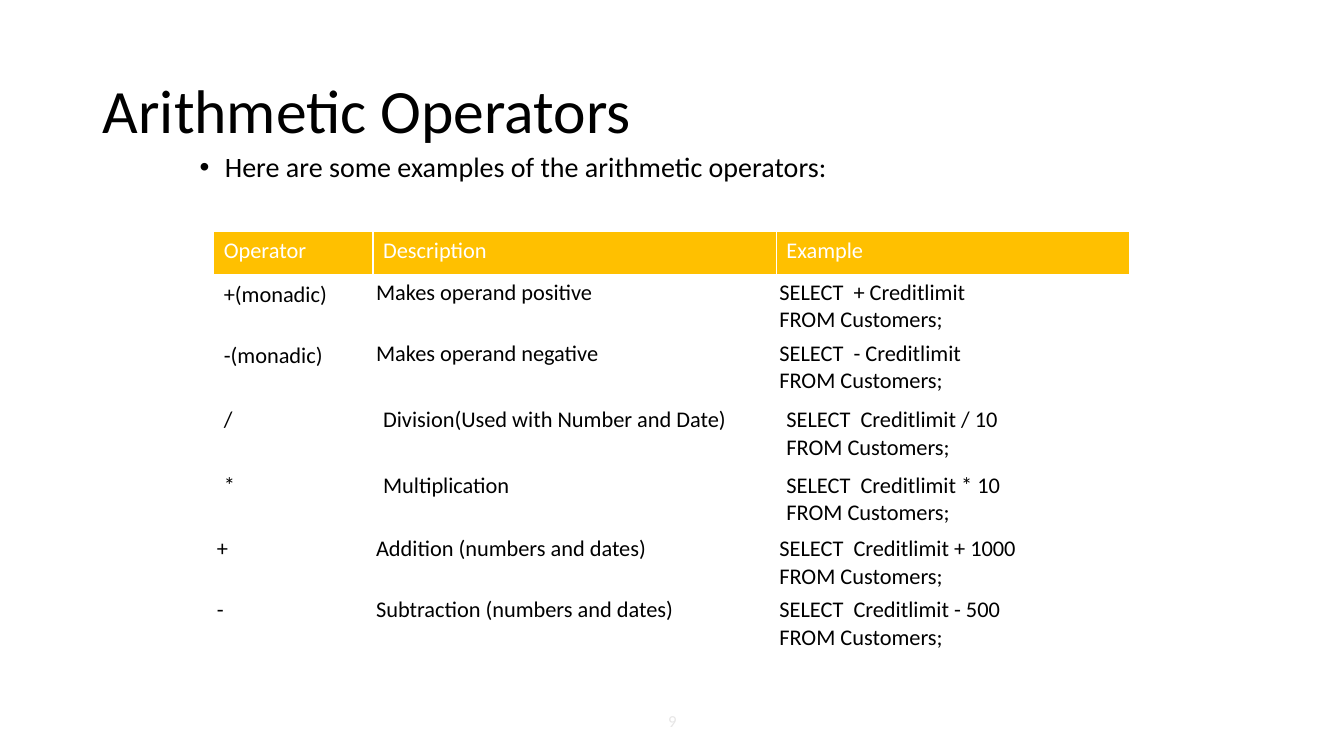
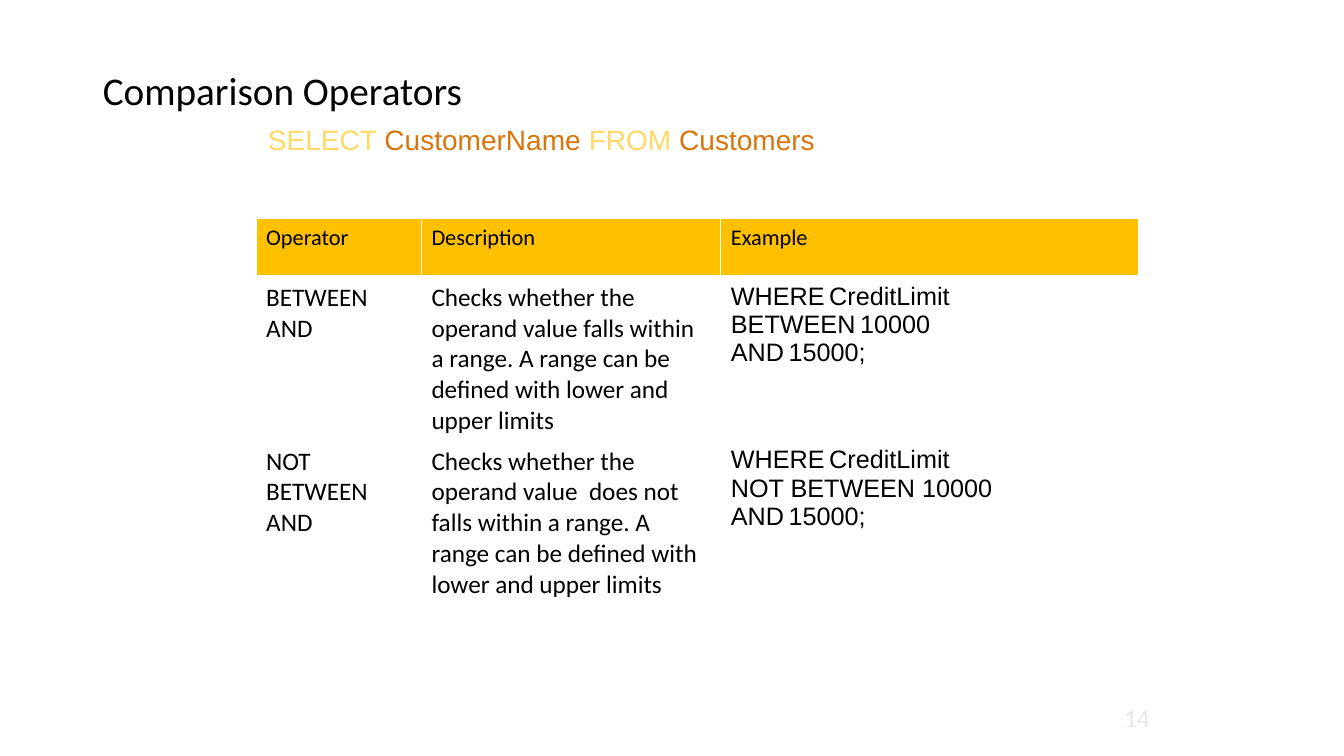
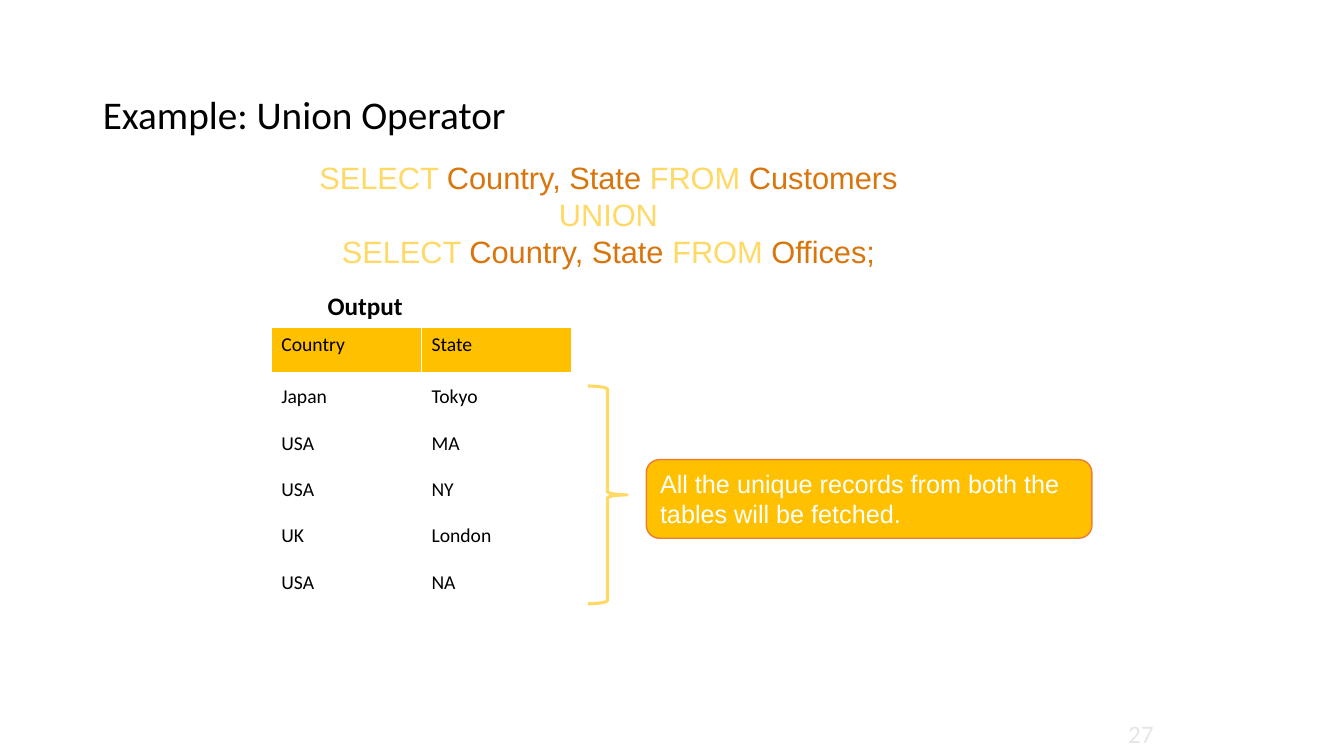
"""Build three slides on SQL operators: arithmetic, comparison and union."""
from dataclasses import dataclass
from itertools import cycle

from lxml.etree import SubElement
from pptx import Presentation
from pptx.dml.color import RGBColor
from pptx.enum.shapes import MSO_SHAPE as Shape
from pptx.enum.text import MSO_ANCHOR as Anchor, MSO_AUTO_SIZE as AutoSize, PP_ALIGN as Align
from pptx.oxml.ns import qn
from pptx.util import Inches, Pt


@dataclass(frozen=True)
class Theme:
    body_font: str = "Calibri"
    code_font: str = "Arial"
    ink: str = "000000"
    paper: str = "FFFFFF"
    gold: str = "FFC000"
    keyword: str = "FFD966"
    name: str = "D8750D"
    outline: str = "ED7D31"
    number: str = "E7E6E6"
    title_large: int = 44
    title_small: int = 28
    query: int = 22
    lead: int = 20
    text: int = 18
    table: int = 16
    small: int = 14
    tiny: int = 12


THEME = Theme()
TITLE_ONLY, TITLE_AND_BODY = 5, 1
TIGHT = 0.03

ARITHMETIC_HEADER = ("Operator", "Description", "Example")
ARITHMETIC_ROWS = [
    ("+(monadic)", "Makes operand positive", "SELECT  + Creditlimit"),
    ("-(monadic)", "Makes operand negative", "SELECT  - Creditlimit"),
    ("/", "Division(Used with Number and Date)", "SELECT  Creditlimit / 10"),
    ("*", "Multiplication", "SELECT  Creditlimit * 10"),
    ("+", "Addition (numbers and dates)", "SELECT  Creditlimit + 1000"),
    ("-", "Subtraction (numbers and dates)", "SELECT  Creditlimit - 500"),
]
FROM_CLAUSE = "FROM Customers;"
FIRST_TIGHT_COLUMN = (1, 1, 3, 3, 0, 0)

COMPARISON_ROWS = [
    ("BETWEEN AND",
     "Checks whether the operand value falls within a range. "
     "A range can be defined with lower and upper limits"),
    ("NOT BETWEEN AND",
     "Checks whether the operand value  does not falls within a range. "
     "A range can be defined with lower and upper limits"),
]
COMPARISON_EXAMPLES = [
    [("WHERE", "CreditLimit"), ("BETWEEN", "10000"), ("AND", "15000;")],
    [("WHERE", "CreditLimit"), ("NOT BETWEEN 10000",), ("AND", "15000;")],
]
COMPARISON_QUERY = [("SELECT ", "CustomerName ", "FROM ", "Customers")]

UNION_QUERY = [
    ("SELECT ", "Country, State ", "FROM ", "Customers"),
    ("UNION",),
    ("SELECT ", "Country, State ", "FROM ", "Offices;"),
]
UNION_HEADER = ("Country", "State")
UNION_ROWS = [("Japan", "Tokyo"), ("USA", "MA"), ("USA", "NY"), ("UK", "London"), ("USA", "NA")]


def inches(values):
    return [Inches(value) for value in values]


def style(font, size, color=THEME.ink, face=THEME.body_font, bold=False):
    font.name, font.size, font.bold = face, Pt(size), bold
    font.color.rgb = RGBColor.from_string(color)


def paragraphs(frame, count):
    return [frame.paragraphs[0]] + [frame.add_paragraph() for _ in range(count - 1)]


def write(frame, lines, size, **look):
    for para, line in zip(paragraphs(frame, len(lines)), lines):
        para.text = line
        style(para.font, size, **look)


def write_query(frame, lines, size, align=Align.LEFT):
    for para, line in zip(paragraphs(frame, len(lines)), lines):
        para.alignment = align
        for text, color in zip(line, cycle((THEME.keyword, THEME.name))):
            span = para.add_run()
            span.text = text
            style(span.font, size, color, THEME.code_font)


def write_example(frame, lines):
    for para, words in zip(paragraphs(frame, len(lines)), lines):
        for index, word in enumerate(words):
            if index:
                gap = para.add_run()
                gap.text = " "
                style(gap.font, THEME.small)
            span = para.add_run()
            span.text = word
            style(span.font, THEME.text, face=THEME.code_font)


def add_page(deck, title, size, top=0.4, spacing=0.9, layout=TITLE_ONLY):
    page = deck.slides.add_slide(deck.slide_layouts[layout])
    box = page.shapes.title
    box.left, box.top, box.width, box.height = inches((0.92, top, 11.5, 1.45))
    frame = box.text_frame
    frame.auto_size = AutoSize.NONE
    frame.vertical_anchor = Anchor.MIDDLE
    write(frame, [title], size)
    frame.paragraphs[0].alignment = Align.LEFT
    frame.paragraphs[0].line_spacing = spacing
    return page


def add_box(page, place, wrap=True):
    frame = page.shapes.add_textbox(*inches(place)).text_frame
    frame.word_wrap = wrap
    return frame


def add_number(page, number, place, size, align):
    frame = add_box(page, place)
    frame.vertical_anchor = Anchor.MIDDLE
    write(frame, [number], size, color=THEME.number)
    frame.paragraphs[0].alignment = align


def add_shape(page, kind, place, fill=None, line=None, weight=1):
    shape = page.shapes.add_shape(kind, *inches(place))
    shape.shadow.inherit = False
    if fill:
        shape.fill.solid()
        shape.fill.fore_color.rgb = RGBColor.from_string(fill)
    else:
        shape.fill.background()
    if line:
        shape.line.color.rgb = RGBColor.from_string(line)
        shape.line.width = Pt(weight)
    else:
        shape.line.fill.background()
    frame = shape.text_frame
    frame.word_wrap = True
    frame.vertical_anchor = Anchor.TOP
    return shape


def add_borders(cell):
    properties = cell._tc.get_or_add_tcPr()
    for side, weight in (("L", 1), ("R", 1), ("T", 1), ("B", 3)):
        line = SubElement(properties, qn(f"a:ln{side}"), w=str(Pt(weight)))
        SubElement(SubElement(line, qn("a:solidFill")), qn("a:srgbClr"), val=THEME.paper)


def add_table(page, left, top, widths, heights, header, size, color):
    place = inches((left, top, sum(widths), sum(heights)))
    table = page.shapes.add_table(len(heights), len(widths), *place).table
    table.horz_banding = False
    for column, width in zip(table.columns, widths):
        column.width = Inches(width)
    for row, height in zip(table.rows, heights):
        row.height = Inches(height)
    for cell in table.iter_cells():
        cell.fill.background()
    for cell, label in zip(table.rows[0].cells, header):
        add_borders(cell)
        cell.fill.solid()
        cell.fill.fore_color.rgb = RGBColor.from_string(THEME.gold)
        write(cell.text_frame, [label], size, color=color)
    return table


def build_arithmetic(deck):
    page = add_page(deck, "Arithmetic Operators", THEME.title_large, layout=TITLE_AND_BODY)
    body = page.placeholders[1]
    body.left, body.top, body.width, body.height = inches((1.88, 1.47, 9, 0.86))
    body.text_frame.auto_size = AutoSize.NONE
    write(body.text_frame, ["Here are some examples of the arithmetic operators:"], THEME.lead)
    para = body.text_frame.paragraphs[0]
    para.line_spacing, para.space_before = 0.9, Pt(10)
    indent = para._p.get_or_add_pPr()
    indent.set("marL", str(Inches(0.25)))
    indent.set("indent", str(-Inches(0.25)))

    table = add_table(page, 2.12, 2.3, (1.58, 4, 3.5), (0.44, 0.58, 0.64, 0.65, 0.65, 0.58, 0.66),
                      ARITHMETIC_HEADER, THEME.table, THEME.paper)
    for row, (operator, meaning, select) in enumerate(ARITHMETIC_ROWS):
        for column, lines in enumerate(([operator], [meaning], [select, FROM_CLAUSE])):
            cell = table.cell(row + 1, column)
            write(cell.text_frame, lines, THEME.table)
            if column >= FIRST_TIGHT_COLUMN[row]:
                cell.margin_left = cell.margin_right = Inches(TIGHT)
                cell.margin_top = cell.margin_bottom = Inches(TIGHT)
    add_number(page, "9", (5.17, 6.95, 3, 0.4), THEME.tiny, Align.CENTER)


def build_comparison(deck):
    page = add_page(deck, "Comparison Operators", THEME.title_small, top=0.2)
    table = add_table(page, 2.54, 2.17, (1.64, 2.97, 4.14), (0.58, 1.25, 1.53),
                      ARITHMETIC_HEADER, THEME.table, THEME.ink)
    for row, (texts, example) in enumerate(zip(COMPARISON_ROWS, COMPARISON_EXAMPLES), 1):
        for column, text in enumerate(texts):
            write(table.cell(row, column).text_frame, [text], THEME.text)
        write_example(table.cell(row, 2).text_frame, example)
    frame = add_box(page, (2.56, 1.17, 5.67, 0.44), wrap=False)
    frame.auto_size = AutoSize.SHAPE_TO_FIT_TEXT
    write_query(frame, COMPARISON_QUERY, THEME.lead)
    add_number(page, "14", (8.5, 6.92, 3, 0.4), THEME.text, Align.RIGHT)


def build_union(deck):
    page = add_page(deck, "Example: Union Operator", THEME.title_small, spacing=1.0)
    query = add_shape(page, Shape.ROUNDED_RECTANGLE, (2.95, 1.46, 6.17, 1.34))
    write_query(query.text_frame, UNION_QUERY, THEME.query, Align.CENTER)

    table = add_table(page, 2.69, 3.25, (1.49, 1.49), [0.46] * (len(UNION_ROWS) + 1),
                      UNION_HEADER, THEME.small, THEME.ink)
    for row, texts in enumerate(UNION_ROWS, 1):
        for column, text in enumerate(texts):
            cell = table.cell(row, column)
            cell.vertical_anchor = Anchor.MIDDLE
            write(cell.text_frame, [text], THEME.small)

    callout = add_shape(page, Shape.ROUNDED_RECTANGLE, (6.41, 4.56, 4.42, 0.78),
                        THEME.gold, THEME.outline)
    write(callout.text_frame, ["All the unique records from both the tables will be fetched."],
          THEME.text, color=THEME.paper, face=THEME.code_font)
    callout.text_frame.paragraphs[0].alignment = Align.LEFT
    add_shape(page, Shape.RIGHT_BRACE, (5.83, 3.83, 0.39, 2.16), line=THEME.keyword, weight=2.25)
    write(add_box(page, (3.15, 2.83, 2.05, 0.4)), ["Output"], THEME.text, bold=True)
    add_number(page, "27", (8.54, 7.08, 3, 0.4), THEME.text, Align.RIGHT)


def main():
    deck = Presentation()
    deck.slide_width, deck.slide_height = inches((13.33, 7.5))
    for build in (build_arithmetic, build_comparison, build_union):
        build(deck)
    deck.save("out.pptx")


if __name__ == "__main__":
    main()
